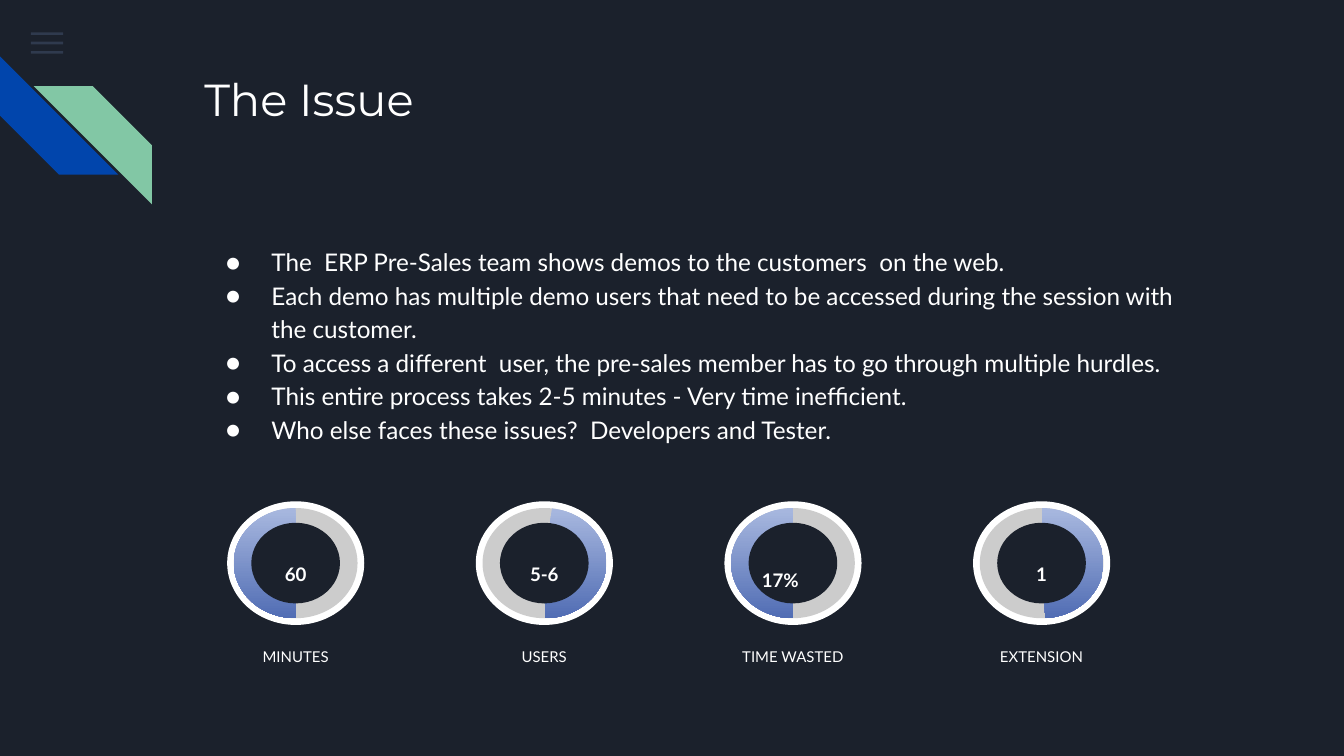
from dataclasses import dataclass

from lxml.etree import SubElement
from pptx import Presentation
from pptx.dml.color import RGBColor
from pptx.enum.shapes import MSO_SHAPE as Shape
from pptx.enum.text import MSO_ANCHOR as Anchor, MSO_AUTO_SIZE as AutoSize, PP_ALIGN as Align
from pptx.oxml.ns import qn
from pptx.util import Inches, Pt


@dataclass(frozen=True)
class Theme:
    background: str = "1B212C"
    text: str = "FFFFFF"
    menu: str = "55688B"
    blue: str = "0145AC"
    green: str = "82C7A5"
    track: str = "CCCCCC"
    arc_top: str = "A8B8DF"
    arc_bottom: str = "516DB4"
    heading_font: str = "Montserrat"
    body_font: str = "Lato"
    title_size: int = 24
    body_size: int = 13
    figure_size: int = 10
    label_size: int = 8


THEME = Theme()

ISSUES = [
    "The  ERP Pre-Sales team shows demos to the customers  on the web.",
    "Each demo has multiple demo users that need to be accessed during the session with the customer.",
    "To access a different  user, the pre-sales member has to go through multiple hurdles.",
    "This entire process takes 2-5 minutes - Very time inefficient.",
    "Who else faces these issues?  Developers and Tester.",
]

# Figure, label, start and end angle of the arc in degrees
RINGS = [
    ("60", "MINUTES", 89.07, 270),
    ("5-6", "USERS", 278.07, 89.05),
    ("17%", "TIME WASTED", 89.72, 270),
    ("1", "EXTENSION", 269.93, 86.09),
]
RING_STEP = 1.85


def place(item, left, top, width, height):
    item.left, item.top = Inches(left), Inches(top)
    item.width, item.height = Inches(width), Inches(height)


def add_shape(slide, kind, box, color):
    shape = slide.shapes.add_shape(kind, *map(Inches, box))
    shape.shadow.inherit = False
    shape.fill.solid()
    shape.fill.fore_color.rgb = RGBColor.from_string(color)
    shape.line.fill.background()
    return shape


def add_bullet(paragraph, size):
    props = paragraph._p.get_or_add_pPr()
    props.set("marL", str(Inches(0.5)))
    props.set("indent", str(Inches(-0.34)))
    color = SubElement(props, qn("a:buClr"))
    SubElement(color, qn("a:srgbClr"), val=THEME.text)
    SubElement(props, qn("a:buSzPts"), val=str(size * 100))
    SubElement(props, qn("a:buFont"), typeface=THEME.body_font)
    SubElement(props, qn("a:buChar"), char="●")


def write_text(frame, *lines, size, font=THEME.body_font, bold=False, align=Align.LEFT,
               anchor=Anchor.TOP, spacing=1.0, after=0, bullets=False):
    frame.word_wrap = True
    frame.auto_size = AutoSize.NONE
    frame.vertical_anchor = anchor
    frame.margin_left = frame.margin_right = Inches(0.1)
    frame.margin_top = frame.margin_bottom = Inches(0.1)
    for index, line in enumerate(lines):
        paragraph = frame.add_paragraph() if index else frame.paragraphs[0]
        if bullets:
            add_bullet(paragraph, size)
        paragraph.alignment = align
        paragraph.line_spacing = spacing
        paragraph.space_before = Pt(0)
        paragraph.space_after = Pt(after)
        run = paragraph.add_run()
        run.text = line
        run.font.name, run.font.size, run.font.bold = font, Pt(size), bold
        run.font.color.rgb = RGBColor.from_string(THEME.text)


def add_text(slide, box, text, **text_format):
    textbox = slide.shapes.add_textbox(*map(Inches, box))
    write_text(textbox.text_frame, text, **text_format)


def add_menu_icon(slide, left, top):
    for row in range(3):
        bar = add_shape(slide, Shape.RECTANGLE, (left, top + row * 0.07, 0.24, 0.02), THEME.menu)
        color = bar._element.spPr.find(qn("a:solidFill"))[0]
        SubElement(color, qn("a:alpha"), val="36000")


def add_stripes(slide, left, top, size):
    blue = add_shape(slide, Shape.DIAGONAL_STRIPE, (left, top, size, size), THEME.blue)
    blue.rotation = 270
    green = add_shape(slide, Shape.DIAGONAL_STRIPE,
                      (left + 0.25, top + 0.22, size, size), THEME.green)
    green._element.spPr.find(qn("a:xfrm")).set("flipH", "1")


def add_ring(slide, left, top, figure, label, start, end):
    width, height = 1.02, 0.92

    def inset(dx, dy):
        return left + dx, top + dy, width - 2 * dx, height - 2 * dy

    add_shape(slide, Shape.OVAL, inset(0, 0), THEME.text)
    add_shape(slide, Shape.OVAL, inset(0.05, 0.05), THEME.track)
    # The gradient is set over the plain fill
    arc = add_shape(slide, Shape.PIE, inset(0.05, 0.05), THEME.arc_top)
    for index, angle in enumerate((start, end)):
        arc.adjustments[index] = angle * 0.6
    arc.fill.gradient()
    arc.fill.gradient_angle = 270
    for stop, color in zip(arc.fill.gradient_stops, (THEME.arc_top, THEME.arc_bottom)):
        stop.color.rgb = RGBColor.from_string(color)
    add_shape(slide, Shape.OVAL, inset(0.18, 0.16), THEME.background)

    add_text(slide, (left - 0.02, top + 0.99, 1.06, 0.4), label,
             size=THEME.label_size, align=Align.CENTER, after=16)
    if figure.endswith("%"):
        add_text(slide, (left + 0.18, top + 0.25, 0.56, 0.52), figure,
                 size=THEME.figure_size, bold=True, anchor=Anchor.BOTTOM)
    else:
        add_text(slide, (left + 0.28, top + 0.33, 0.46, 0.25), figure,
                 size=THEME.figure_size, bold=True, align=Align.CENTER, spacing=1.15)


def add_issue(slide, left, top, width):
    title, body = slide.shapes.title, slide.placeholders[1]
    place(title, left, top, width, 1)
    write_text(title.text_frame, "The Issue", size=THEME.title_size, font=THEME.heading_font)
    place(body, left, top + 1.28, width, 2.02)
    write_text(body.text_frame, *ISSUES, size=THEME.body_size, spacing=1.15, bullets=True)


def main():
    deck = Presentation()
    # 16:9
    deck.slide_width = Inches(10)
    deck.slide_height = deck.slide_width * 9 // 16
    slide = deck.slides.add_slide(deck.slide_layouts[1])
    slide.background.fill.solid()
    slide.background.fill.fore_color.rgb = RGBColor.from_string(THEME.background)

    add_menu_icon(slide, 0.23, 0.24)
    add_stripes(slide, 0, 0.42, 0.88)
    add_issue(slide, 1.42, 0.43, 7.7)
    for column, ring in enumerate(RINGS):
        add_ring(slide, 1.69 + column * RING_STEP, 3.73, *ring)
    deck.save("out.pptx")


if __name__ == "__main__":
    main()
